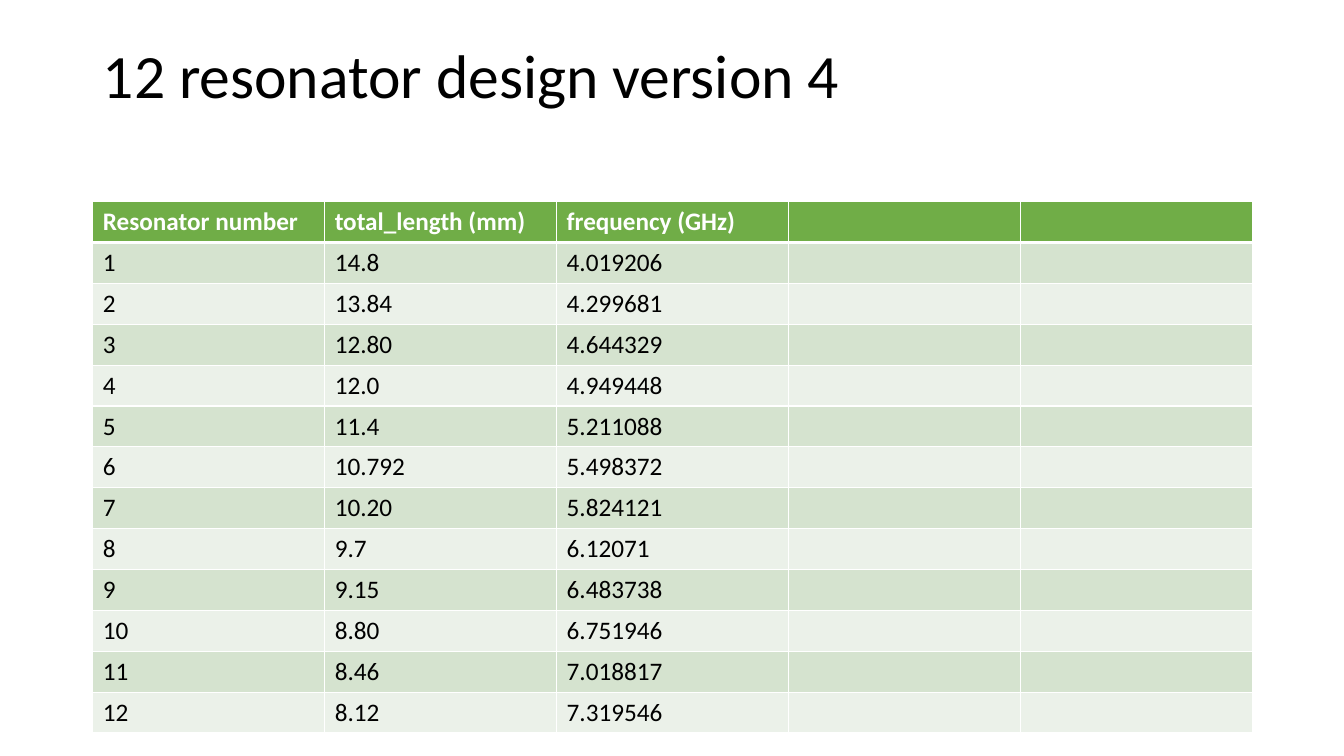
from lxml import etree
from pptx import Presentation
from pptx.dml.color import RGBColor
from pptx.enum import text
from pptx.oxml.ns import qn
from pptx.util import Inches, Pt

# Content
TITLE = "12 resonator design version 4"
HEADINGS = ("Resonator number", "total_length (mm)", "frequency (GHz)", "", "")
RESONATORS = [
    ("14.8", "4.019206"),
    ("13.84", "4.299681"),
    ("12.80", "4.644329"),
    ("12.0", "4.949448"),
    ("11.4", "5.211088"),
    ("10.792", "5.498372"),
    ("10.20", "5.824121"),
    ("9.7", "6.12071"),
    ("9.15", "6.483738"),
    ("8.80", "6.751946"),
    ("8.46", "7.018817"),
    ("8.12", "7.319546"),
]


class Theme:
    font = "Calibri"
    title_size, table_size = Pt(44), Pt(18)
    ink, white = "000000", "FFFFFF"
    header, bands = "70AD47", ("D5E3CF", "EBF1E9")
    thin, thick = Pt(1), Pt(3)


def format_font(font, size, color, bold=False):
    for name, value in {"name": Theme.font, "size": size, "bold": bold}.items():
        setattr(font, name, value)
    font.color.rgb = RGBColor.from_string(color)


def add_borders(cell, top, bottom):
    widths = {"lnL": Theme.thin, "lnR": Theme.thin, "lnT": top, "lnB": bottom}
    properties = cell._tc.get_or_add_tcPr()
    for side, width in widths.items():
        line = etree.SubElement(properties, qn(f"a:{side}"), w=str(width))
        fill = etree.SubElement(line, qn("a:solidFill"))
        etree.SubElement(fill, qn("a:srgbClr"), val=Theme.white)


def fill_cell(cell, wording, row):
    is_header = row == 0
    add_borders(cell,
                top=Theme.thick if row == 1 else Theme.thin,
                bottom=Theme.thick if is_header else Theme.thin)
    cell.fill.solid()
    band = Theme.header if is_header else Theme.bands[(row - 1) % 2]
    cell.fill.fore_color.rgb = RGBColor.from_string(band)
    cell.text = wording
    format_font(cell.text_frame.paragraphs[0].font, Theme.table_size,
                Theme.white if is_header else Theme.ink, is_header)


def main():
    deck = Presentation()
    deck.slide_width, deck.slide_height = Inches(13.33), Inches(7.5)
    slide = deck.slides.add_slide(deck.slide_layouts[5])
    left, width = Inches(0.92), Inches(11.5)

    # Title
    title = slide.shapes.title
    place = {"left": left, "top": Inches(0.4), "width": width, "height": Inches(1.45)}
    for name, value in place.items():
        setattr(title, name, value)
    title.text_frame.text = TITLE
    title.text_frame.vertical_anchor = text.MSO_ANCHOR.TOP
    heading = title.text_frame.paragraphs[0]
    heading.alignment = text.PP_ALIGN.LEFT
    heading.line_spacing = 0.9
    format_font(heading.font, Theme.title_size, Theme.ink)

    # Resonator table, padded with blank columns
    blanks = ("",) * HEADINGS.count("")
    rows = [HEADINGS] + [(str(number), *values, *blanks)
                         for number, values in enumerate(RESONATORS, 1)]
    table = slide.shapes.add_table(len(rows), len(HEADINGS), left, Inches(2),
                                   width, Inches(5.27)).table
    for r, row in enumerate(rows):
        for c, wording in enumerate(row):
            fill_cell(table.cell(r, c), wording, r)

    deck.save("out.pptx")


if __name__ == "__main__":
    main()
